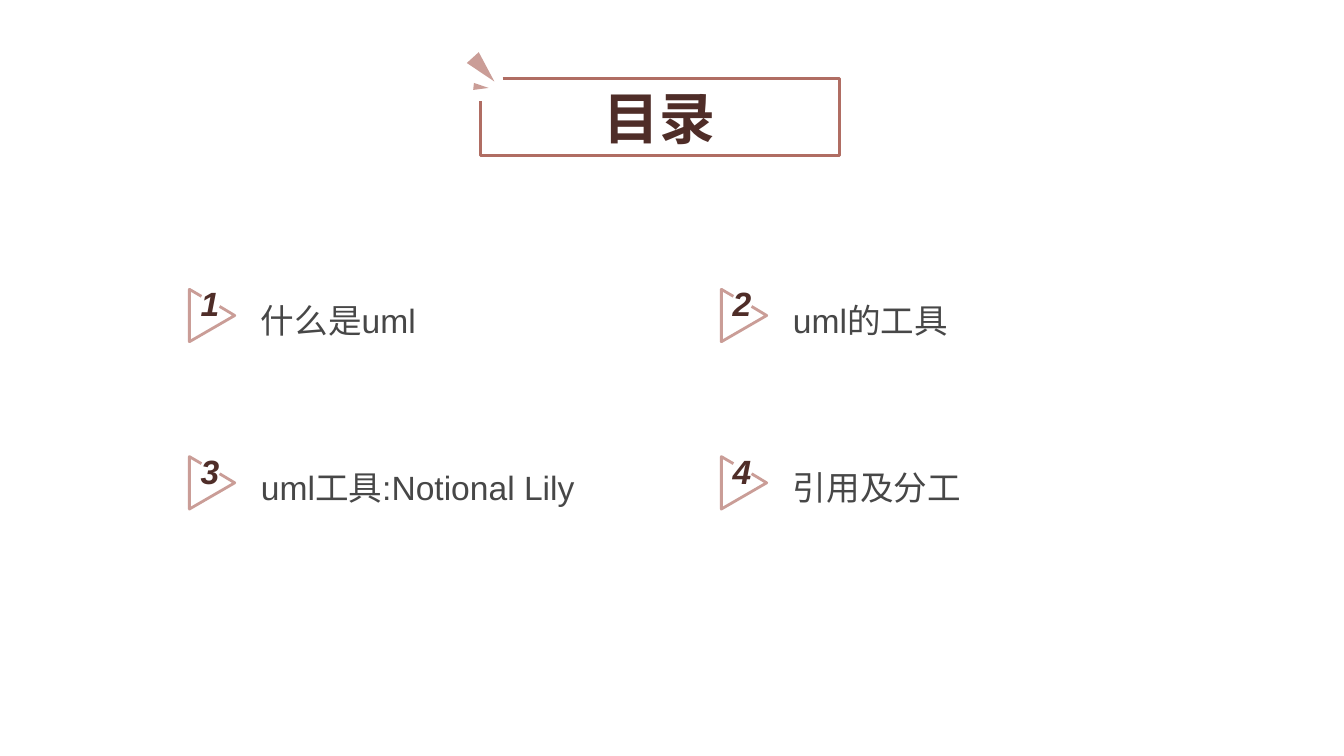
from pptx import Presentation
from pptx.dml.color import RGBColor
from pptx.enum.shapes import MSO_SHAPE
from pptx.enum.text import MSO_ANCHOR, MSO_AUTO_SIZE, PP_ALIGN
from pptx.oxml.ns import qn
from pptx.util import Inches, Pt
from lxml.etree import SubElement


def draw_outline(points, color):
    (start_x, start_y), *rest = [(Inches(x), Inches(y)) for x, y in points]
    builder = slide.shapes.build_freeform(start_x, start_y)
    builder.add_line_segments(rest, close=False)
    outline = builder.convert_to_shape()
    outline.shadow.inherit = False
    outline.fill.background()
    outline.line.color.rgb = RGBColor.from_string(color)
    outline.line.width = Pt(2)
    SubElement(outline.line._get_or_add_ln(), qn("a:round"))
    return outline


def write(holder, text, size, color, align, spacing=1.0, insets=(0, 0, 0, 0), **style):
    frame = holder.text_frame
    left, top, right, bottom = map(Inches, insets)
    layout = {
        "text": text, "word_wrap": True, "auto_size": MSO_AUTO_SIZE.NONE,
        "vertical_anchor": MSO_ANCHOR.MIDDLE, "margin_left": left,
        "margin_top": top, "margin_right": right, "margin_bottom": bottom,
    }
    for name, value in layout.items():
        setattr(frame, name, value)
    paragraph = frame.paragraphs[0]
    paragraph.alignment = align
    paragraph.line_spacing = spacing
    font = paragraph.runs[0].font
    for name, value in {"name": "Arial", "size": Pt(size), **style}.items():
        setattr(font, name, value)
    font.color.rgb = RGBColor.from_string(color)


DARK, GREY, ROSE, BRICK = "4F2D28", "474747", "CA9D97", "B06D63"

presentation = Presentation()
presentation.slide_width = Inches(13.34)
presentation.slide_height = Inches(7.5)
slide = presentation.slides.add_slide(presentation.slide_layouts[5])

topics = ["什么是uml", "uml的工具", "uml工具:Notional Lily", "引用及分工"]
arrow_path = [(0.12, 0.07), (0, 0), (0, 0.52), (0.45, 0.26), (0.3, 0.17)]
for index, topic in enumerate(topics):
    row, column = divmod(index, 2)
    left, top = 1.88 + 5.28 * column, 2.87 + 1.66 * row
    arrow = draw_outline([(left + x, top + y) for x, y in arrow_path], ROSE)
    write(arrow, str(index + 1), 24, DARK, PP_ALIGN.CENTER,
          insets=(0, 0, 0.04, 0.24), bold=True, italic=True)
    label = slide.shapes.add_textbox(
        Inches(left + 0.71), Inches(top - 0.14), Inches(4.32), Inches(0.81))
    write(label, topic, 24, GREY, PP_ALIGN.LEFT, spacing=1.2)

draw_outline([(4.99, 0.78), (8.33, 0.78), (8.33, 1.54), (4.77, 1.54), (4.77, 1)], BRICK)
heading = slide.shapes.title
heading.left, heading.top = Inches(4.77), Inches(0.78)
heading.width, heading.height = Inches(3.56), Inches(0.76)
write(heading, "目录", 40, DARK, PP_ALIGN.CENTER, bold=True)

sparks = [(4.72, 0.53, 0.16, 0.32, 137.9), (4.74, 0.79, 0.07, 0.15, 95.8)]
for *box, angle in sparks:
    spark = slide.shapes.add_shape(MSO_SHAPE.ISOSCELES_TRIANGLE, *map(Inches, box))
    spark.rotation = angle
    spark.shadow.inherit = False
    spark.fill.solid()
    spark.fill.fore_color.rgb = RGBColor.from_string(ROSE)
    spark.line.fill.background()

presentation.save("out.pptx")
